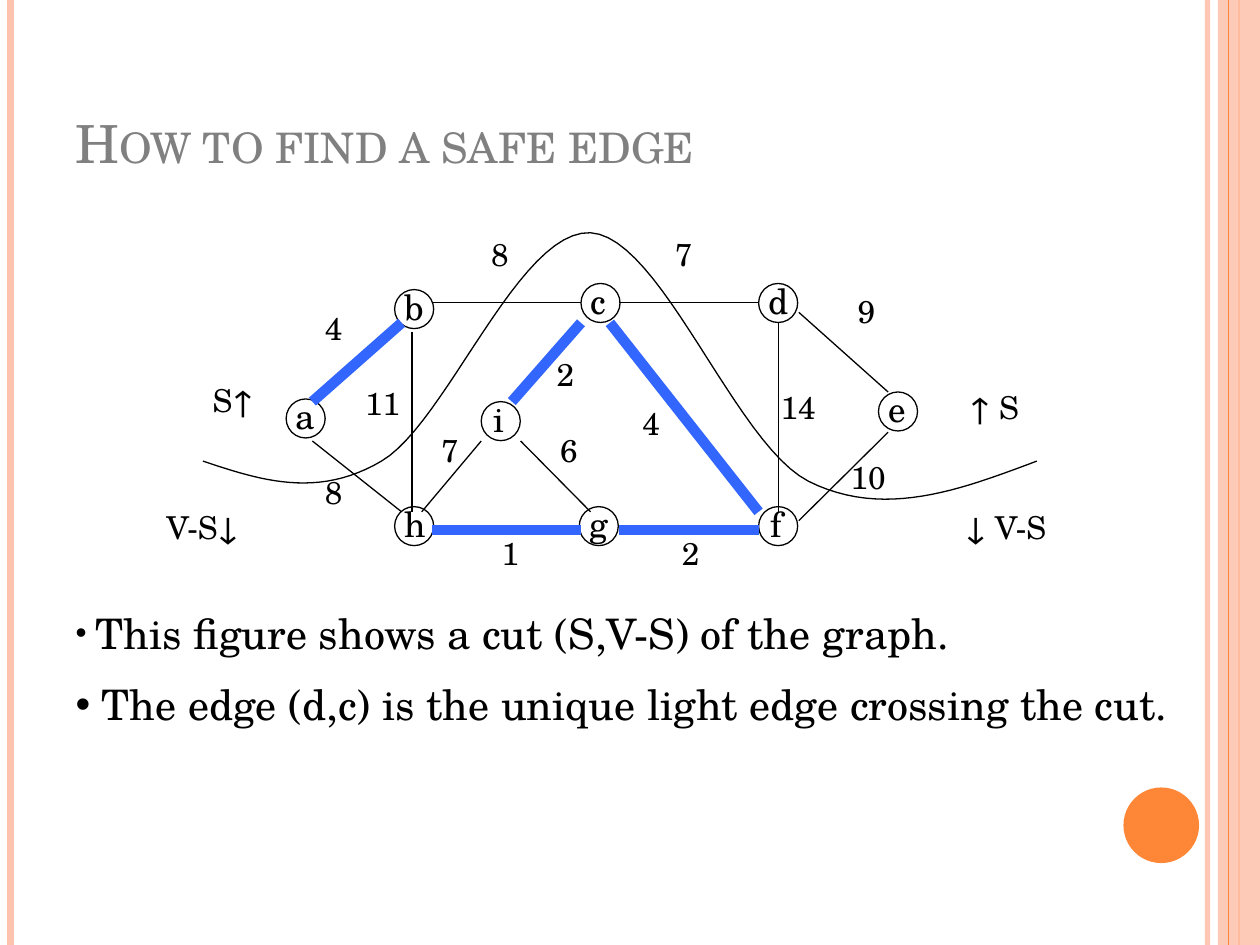
from lxml import etree
from pptx import Presentation
from pptx import util as u
from pptx.dml import color
from pptx.enum import shapes, text
from pptx.oxml import ns

FONT = "TeX Gyre Schola"
INK, BLUE, GREY, PEACH, ORANGE = "000000", "3366FF", "808080", "FEC3AE", "FE8637"
NODE_SIZE = 22.3

TITLE = "How to find a safe edge"
# text, hanging indent, bullet size in percent
POINTS = [
    ("This figure shows a cut (S,V-S) of the graph.", 11.5, 75),
    ("The edge (d,c) is the unique light edge crossing the cut.", 15, 100),
]
NODES = {
    "a": (163.5, 228), "b": (225.5, 165.5), "h": (225.5, 289.5),
    "c": (332, 162), "d": (433.5, 162), "e": (502, 224),
    "f": (433.5, 289.5), "g": (331, 289.5), "i": (275, 229.5),
}
# start, end, weight, weight position, in the tree
EDGES = [
    ((178.5, 229.5), (229.5, 184.5), "4", (178.5, 173), True),
    ((178.5, 252), (229.5, 292.5), "8", (178.5, 267), False),
    ((235.5, 190), (235.5, 292.5), "11", (201.5, 216), False),
    ((247, 173), (332, 173), "8", (273.5, 131), False),
    ((247, 303), (332, 303), "1", (279.5, 301.5), True),
    ((354, 303), (433.5, 303), "2", (382.5, 301.5), True),
    ((348.5, 184.5), (433.5, 292.5), "4", (360, 227.5), True),
    ((354, 173), (433.5, 173), "7", (378.5, 131), False),
    ((445, 184.5), (445, 292.5), "14", (439, 218), False),
    ((456.5, 178.5), (507.5, 224), "9", (483, 163.5), False),
    ((456.5, 297.5), (507.5, 247), "10", (479, 258), False),
    ((297.5, 252), (337.5, 292.5), "6", (313, 242.5), False),
    ((241, 292.5), (275, 252), "7", (245, 242.5), False),
    ((292.5, 229.5), (332, 184.5), "2", (311, 199.5), True),
]
SIDES = [
    ("S↑", 114.5, 214, 52), ("↑ S", 547, 218, 46),
    ("V-S↓", 88, 286.5, 77), ("↓ V-S", 544.5, 286.5, 71),
]
CUT = [
    (116, 263.5), (149, 274.5), (181.5, 285), (218, 263.5),
    (255, 242), (296.5, 131), (337.5, 133),
    (378, 135.5), (420, 253.5), (462, 275),
    (505, 296.5), (548.5, 280), (592.5, 263.5),
]


def paint(target, value, alpha=100):
    target.solid()
    target.fore_color.rgb = color.RGBColor.from_string(value)
    if alpha < 100:
        swatch = target._xPr.find(".//" + ns.qn("a:srgbClr"))
        etree.SubElement(swatch, ns.qn("a:alpha"), val=str(alpha * 1000))


def write(para, words, size=18, ink=INK, small_caps=False):
    span = para.add_run()
    span.text = words
    span.font.name, span.font.size = FONT, u.Pt(size)
    paint(span.font.fill, ink)
    if small_caps:
        span.font._element.set("cap", "small")


def place(shape, left, top, width, height):
    shape.left, shape.top = u.Pt(left), u.Pt(top)
    shape.width, shape.height = u.Pt(width), u.Pt(height)


def add_label(page, words, left, top, width, height=36, align=text.PP_ALIGN.LEFT, **style):
    box = page.shapes.add_textbox(*map(u.Pt, (left, top, width, height)))
    box.text_frame.word_wrap = False
    para = box.text_frame.paragraphs[0]
    para.alignment = align
    write(para, words, **style)


def add_line(page, start, end, ink=INK, width=0.75, alpha=100):
    line = page.shapes.add_connector(
        shapes.MSO_CONNECTOR.STRAIGHT, *map(u.Pt, (*start, *end)))
    line.line.width = u.Pt(width)
    paint(line.line.fill, ink, alpha)
    etree.SubElement(line._element.spPr, ns.qn("a:effectLst"))


def add_block(page, kind, left, top, width, height, fill=None, alpha=100):
    block = page.shapes.add_shape(kind, *map(u.Pt, (left, top, width, height)))
    block.shadow.inherit = False
    if fill:
        paint(block.fill, fill, alpha)
        block.line.fill.background()
    else:
        block.fill.background()
        paint(block.line.fill, INK)
        block.line.width = u.Pt(0.75)


def add_curve(page, knots, steps=24):
    dots = []
    for first in range(0, len(knots) - 1, 3):
        for step in range(1, steps + 1):
            t = step / steps
            weights = ((1 - t) ** 3, 3 * t * (1 - t) ** 2, 3 * t * t * (1 - t), t ** 3)
            dots.append(tuple(
                u.Pt(sum(w * knot[axis] for w, knot in zip(weights, knots[first:first + 4])))
                for axis in (0, 1)))
    builder = page.shapes.build_freeform(*map(u.Pt, knots[0]))
    builder.add_line_segments(dots, close=False)
    curve = builder.convert_to_shape()
    curve.shadow.inherit = False
    curve.fill.background()
    paint(curve.line.fill, INK)
    curve.line.width = u.Pt(0.75)


def add_frame(page):
    for x, ink, width, alpha in ((690, PEACH, 3, 93), (6, PEACH, 4.5, 100), (708, ORANGE, 1.5, 100)):
        add_line(page, (x, 0), (x, 540), ink, width, alpha)
    add_block(page, shapes.MSO_SHAPE.RECTANGLE, 696, 0, 24, 540, PEACH, 87)
    add_line(page, (702, 0), (702, 540), ORANGE)
    add_block(page, shapes.MSO_SHAPE.OVAL, 642, 450, 43.2, 43.2, ORANGE)


def add_graph(page):
    for name, (left, top) in NODES.items():
        add_label(page, name, left - 1.5, top - 6, 23, 31, text.PP_ALIGN.CENTER, size=20)
        add_block(page, shapes.MSO_SHAPE.OVAL, left, top, NODE_SIZE, NODE_SIZE)
    for start, end, weight, spot, in_tree in EDGES:
        add_line(page, start, end, *((BLUE, 6) if in_tree else (INK, 0.75)))
        add_label(page, weight, *spot, 15 + 11.5 * len(weight))
    add_curve(page, CUT)
    for words, left, top, width in SIDES:
        add_label(page, words, left, top, width)


def fill_title(title):
    place(title, 36, 21.5, 606, 90)
    frame = title.text_frame
    frame.auto_size = text.MSO_AUTO_SIZE.NONE
    frame.vertical_anchor = text.MSO_ANCHOR.BOTTOM
    frame.margin_bottom = u.Pt(12)
    para = frame.paragraphs[0]
    para.alignment = text.PP_ALIGN.LEFT
    write(para, TITLE, size=30, ink=GREY, small_caps=True)


def fill_body(body):
    place(body, 36, 343.5, 643.5, 80)
    frame = body.text_frame
    frame.auto_size = text.MSO_AUTO_SIZE.NONE
    frame.vertical_anchor = text.MSO_ANCHOR.TOP
    for index, (words, indent, percent) in enumerate(POINTS):
        para = frame.add_paragraph() if index else frame.paragraphs[0]
        props = para._p.get_or_add_pPr()
        props.set("marL", str(u.Pt(indent)))
        props.set("indent", str(-u.Pt(indent)))
        etree.SubElement(props, ns.qn("a:buSzPct"), val=str(percent * 1000))
        etree.SubElement(props, ns.qn("a:buFont"), typeface="Arial")
        etree.SubElement(props, ns.qn("a:buChar"), char="•")
        para.space_before = u.Pt(12 if index else 0)
        write(para, words, size=24)


def main():
    """Build the slide about safe edges and a cut of a graph."""
    deck = Presentation()
    deck.slide_width, deck.slide_height = u.Pt(720), u.Pt(540)
    page = deck.slides.add_slide(deck.slide_layouts[1])
    add_frame(page)
    add_graph(page)
    fill_body(page.placeholders[1])
    fill_title(page.shapes.title)
    deck.save("out.pptx")


if __name__ == "__main__":
    main()
